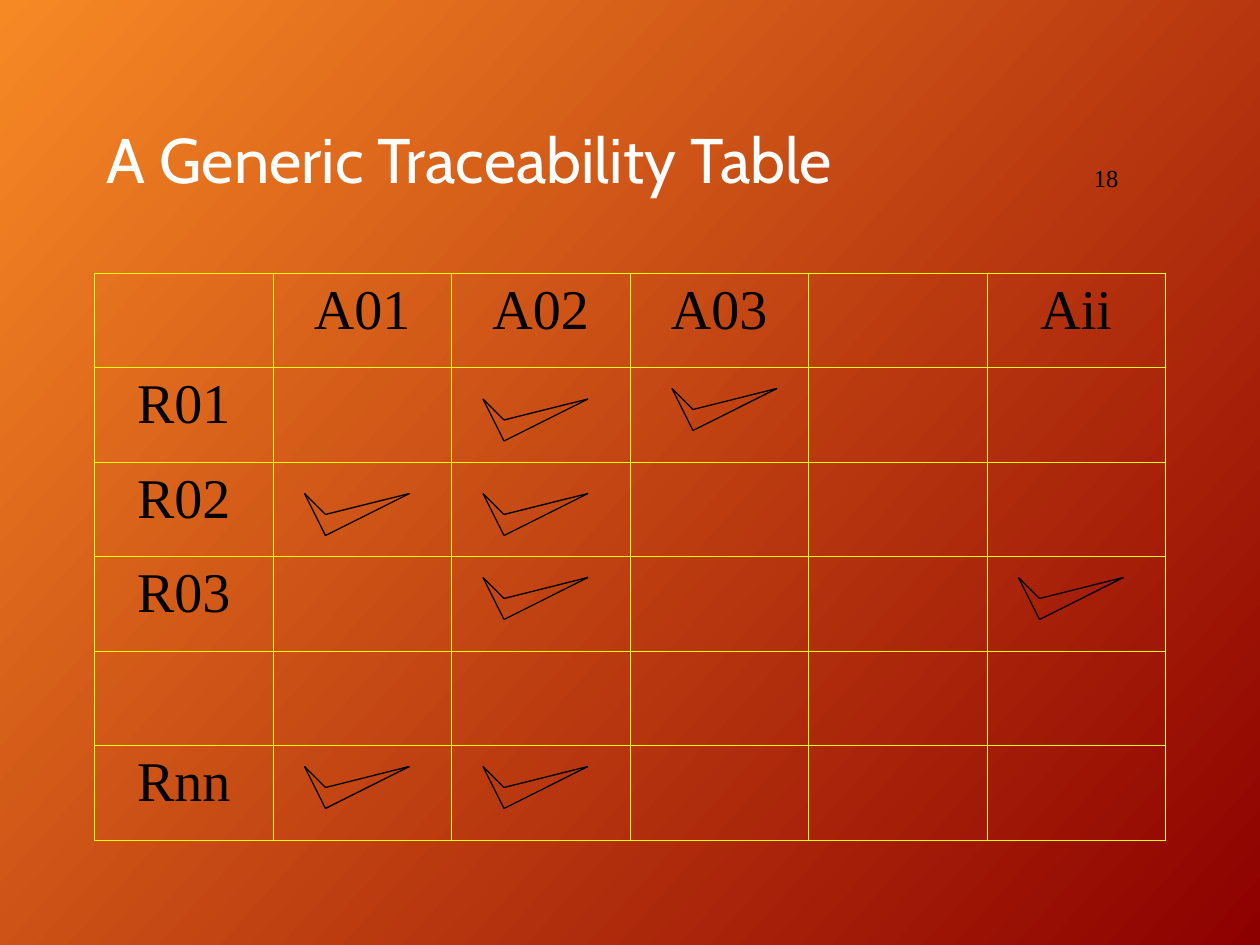
from dataclasses import dataclass

from lxml import etree
from pptx import Presentation
from pptx.dml.color import RGBColor
from pptx.enum.shapes import MSO_CONNECTOR
from pptx.enum.text import MSO_ANCHOR, PP_ALIGN
from pptx.oxml.ns import qn
from pptx.slide import Slide
from pptx.table import _Cell
from pptx.text.text import TextFrame
from pptx.util import Emu, Pt

STRAIGHT = MSO_CONNECTOR.STRAIGHT
MIDDLE = MSO_ANCHOR.MIDDLE
LEFT, CENTER = PP_ALIGN.LEFT, PP_ALIGN.CENTER

EMU_PER_PX = 7620  # 120 px to the inch


@dataclass(frozen=True)
class Theme:
    gradient_start: str = "F78925"
    gradient_end: str = "8D0000"
    gradient_angle: int = 318  # counter-clockwise
    title_color: str = "FFFFFF"
    ink: str = "000000"
    grid: str = "FFFF00"
    title_font: str = "Cabin"
    body_font: str = "Times New Roman"
    title_size: int = 36
    cell_size: int = 32
    number_size: int = 14
    grid_width: float = 0.45
    tick_width: float = 0.75


@dataclass(frozen=True)
class TextStyle:
    font: str
    size: int
    color: str
    align: PP_ALIGN = LEFT
    line_spacing: float = 1.0


@dataclass(frozen=True)
class Box:
    left: int
    top: int
    width: int
    height: int


@dataclass(frozen=True)
class Tick:
    left: int
    top: int


THEME = Theme()
TITLE_STYLE = TextStyle(THEME.title_font, THEME.title_size, THEME.title_color,
                        line_spacing=0.9)
NUMBER_STYLE = TextStyle(THEME.body_font, THEME.number_size, THEME.ink)
CELL_STYLE = TextStyle(THEME.body_font, THEME.cell_size, THEME.ink, CENTER)

SLIDE_WIDTH, SLIDE_HEIGHT = 1200, 900
TITLE_BOX = Box(90, 80, 1020, 150)
NUMBER_BOX = Box(1030, 98, 152, 143)
TABLE_BOX = Box(90, 260, 1020, 540)

COLUMN_LABELS = ["", "A01", "A02", "A03", "", "Aii"]
ROW_LABELS = ["", "R01", "R02", "R03", "", "Rnn"]

TICKS = [
    Tick(460, 380), Tick(640, 370),
    Tick(460, 470), Tick(290, 470),
    Tick(460, 550), Tick(970, 550),
    Tick(460, 730), Tick(290, 730),
]
# Outline of one tick, relative to its top left corner
TICK_START, TICK_INNER, TICK_BOTTOM, TICK_END = (0, 0), (20, 20), (20, 40), (100, 0)
TICK_STROKES = [
    (TICK_START, TICK_INNER), (TICK_START, TICK_BOTTOM),
    (TICK_BOTTOM, TICK_END), (TICK_INNER, TICK_END),
]


def px(length: int) -> Emu:
    return Emu(length * EMU_PER_PX)


def paint_background(slide: Slide) -> None:
    fill = slide.background.fill
    fill.gradient()
    fill.gradient_angle = THEME.gradient_angle
    for stop, color in zip(fill.gradient_stops, (THEME.gradient_start, THEME.gradient_end)):
        stop.color.rgb = RGBColor.from_string(color)


def write_text(frame: TextFrame, text: str, style: TextStyle) -> None:
    paragraph = frame.paragraphs[0]
    paragraph.alignment = style.align
    paragraph.line_spacing = style.line_spacing
    run = paragraph.add_run()
    run.text = text
    run.font.name = style.font
    run.font.size = Pt(style.size)
    run.font.color.rgb = RGBColor.from_string(style.color)


def add_label(slide: Slide, box: Box, text: str, style: TextStyle) -> None:
    shape = slide.shapes.add_textbox(px(box.left), px(box.top), px(box.width), px(box.height))
    shape.text_frame.word_wrap = True
    shape.text_frame.vertical_anchor = MIDDLE
    write_text(shape.text_frame, text, style)


def add_borders(cell: _Cell) -> None:
    """Borders come before the fill in the cell properties."""
    properties = cell._tc.get_or_add_tcPr()
    for index, side in enumerate(("a:lnL", "a:lnR", "a:lnT", "a:lnB")):
        line = etree.Element(qn(side), w=str(Pt(THEME.grid_width)))
        solid = etree.SubElement(line, qn("a:solidFill"))
        etree.SubElement(solid, qn("a:srgbClr"), val=THEME.grid)
        properties.insert(index, line)


def add_traceability_table(slide: Slide, box: Box) -> None:
    rows, columns = len(ROW_LABELS), len(COLUMN_LABELS)
    table = slide.shapes.add_table(rows, columns, px(box.left), px(box.top),
                                   px(box.width), px(box.height)).table
    table.first_row = False
    table.horz_banding = False
    for row_index, row_label in enumerate(ROW_LABELS):
        for column_index, column_label in enumerate(COLUMN_LABELS):
            cell = table.cell(row_index, column_index)
            cell.fill.background()
            add_borders(cell)
            label = column_label if row_index == 0 else row_label
            if label and 0 in (row_index, column_index):
                write_text(cell.text_frame, label, CELL_STYLE)


def add_tick(slide: Slide, tick: Tick) -> None:
    group = slide.shapes.add_group_shape()
    for (x1, y1), (x2, y2) in TICK_STROKES:
        connector = group.shapes.add_connector(
            STRAIGHT, px(tick.left + x1), px(tick.top + y1),
            px(tick.left + x2), px(tick.top + y2))
        connector.line.color.rgb = RGBColor.from_string(THEME.ink)
        connector.line.width = Pt(THEME.tick_width)
        etree.SubElement(connector._element.spPr, qn("a:effectLst"))


def main() -> None:
    presentation = Presentation()
    presentation.slide_width = px(SLIDE_WIDTH)
    presentation.slide_height = px(SLIDE_HEIGHT)
    slide = presentation.slides.add_slide(presentation.slide_layouts[6])

    # Background and heading
    paint_background(slide)
    add_label(slide, TITLE_BOX, "A Generic Traceability Table", TITLE_STYLE)

    # Table, slide number and ticks
    add_traceability_table(slide, TABLE_BOX)
    add_label(slide, NUMBER_BOX, "18", NUMBER_STYLE)
    for tick in TICKS:
        add_tick(slide, tick)

    presentation.save("out.pptx")


if __name__ == "__main__":
    main()
